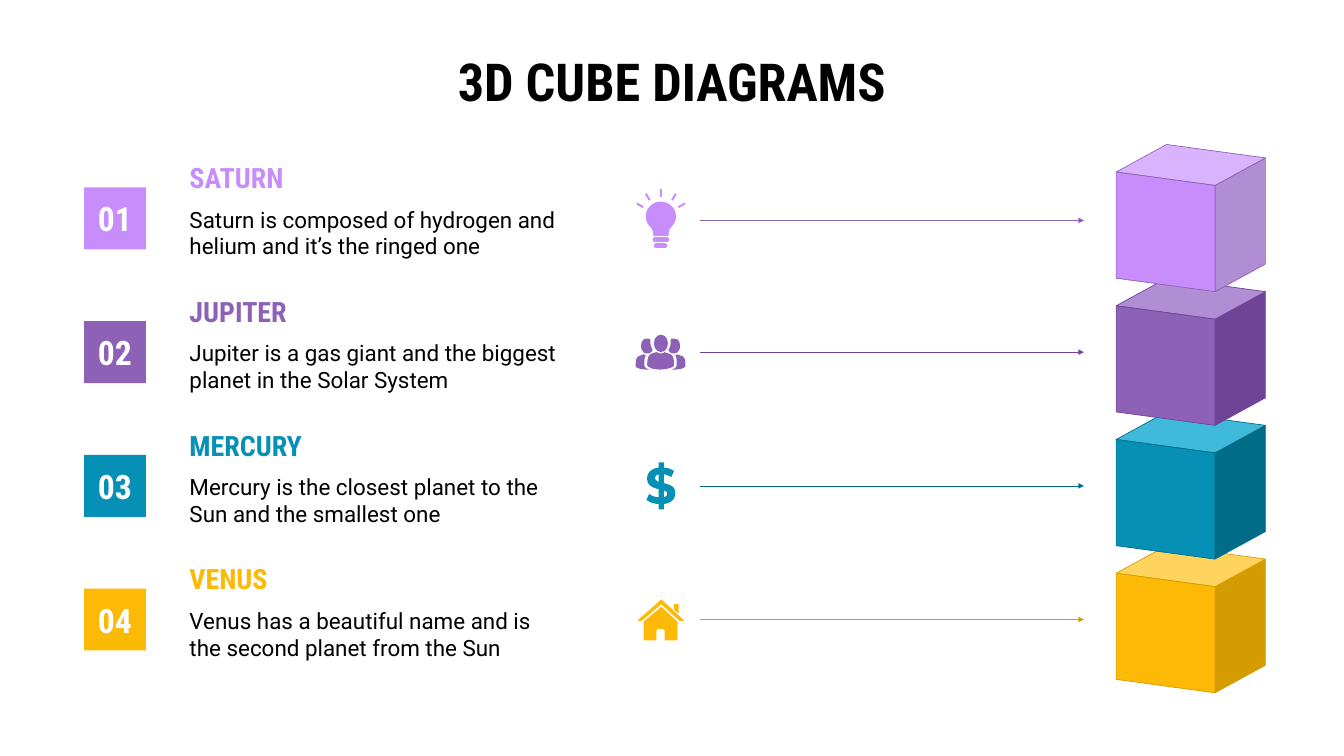
"""Build the 3D cube diagram slide: four planets, each with an icon, an arrow and a cube."""
from lxml import etree
from pptx import Presentation
from pptx.dml.color import RGBColor
from pptx.enum.shapes import MSO_CONNECTOR, MSO_SHAPE
from pptx.enum.text import MSO_ANCHOR, MSO_AUTO_SIZE, PP_ALIGN
from pptx.oxml.ns import qn
from pptx.util import Inches, Pt

RECTANGLE, ROUNDED, OVAL = MSO_SHAPE.RECTANGLE, MSO_SHAPE.ROUNDED_RECTANGLE, MSO_SHAPE.OVAL
STRAIGHT = MSO_CONNECTOR.STRAIGHT
TOP, MIDDLE = MSO_ANCHOR.TOP, MSO_ANCHOR.MIDDLE
LEFT, CENTER = PP_ALIGN.LEFT, PP_ALIGN.CENTER
NO_AUTOFIT = MSO_AUTO_SIZE.NONE

COLORS = {
    "black": "000000", "white": "FFFFFF",
    "lilac": "C68DFB", "pale lilac": "DAB3FF", "soft purple": "B18DD3",
    "purple": "8D61B6", "dark purple": "6F4497",
    "teal": "0690B5", "light teal": "3FBADB", "dark teal": "016C88",
    "yellow": "FCBA06", "light yellow": "FFD45E", "dark yellow": "D59C01",
}
HEADING_FONT, BODY_FONT = "Roboto Condensed", "Roboto"
ROW_PITCH, FIRST_CENTER, ICON_X = 1.99, 3.25, 9.83
CURVE_STEPS = 8

PLANETS = [
    ("SATURN", "Saturn is composed of hydrogen and helium and it’s the ringed one",
     ("lilac", "pale lilac", "soft purple", "purple"), 3.28),
    ("JUPITER", "Jupiter is a gas giant and the biggest planet in the Solar System",
     ("purple", "soft purple", "dark purple", "dark purple"), 5.24),
    ("MERCURY", "Mercury is the closest planet to the Sun and the smallest one",
     ("teal", "light teal", "dark teal", "dark teal"), 7.23),
    ("VENUS", "Venus has a beautiful name and is the second planet from the Sun",
     ("yellow", "light yellow", "dark yellow", "dark yellow"), 9.22),
]

BULB = [(0, -25), (-12, -25, -22, -15, -22, -3), (-22, 3, -19, 10, -14, 14),
        (-11, 17, -11, 25, -11, 25), (-10, 26), (11, 26), (12, 25),
        (12, 25, 12, 17, 15, 14), (20, 9, 23, 3, 23, -3), (23, -15, 13, -25, 0, -25)]
RAYS = [(0, -38, 0), (19.5, -32, 31), (-19.5, -32, -31), (31, -19.5, 60), (-31, -19.5, -60)]
SIDE_HEAD = [(20, -20), (18, -20, 16, -20, 15, -19), (15, -17, 15, -15, 15, -14),
             (15, -10, 14, -7, 12, -4), (12, -3), (13, 0, 16, 2, 20, 2),
             (22, 2, 25, 1, 26, -1), (28, -3, 29, -6, 29, -9),
             (29, -12, 28, -16, 26, -18), (25, -19, 23, -20, 20, -20)]
SIDE_BODY = [(25, 3), (25, 3, 24, 4, 22, 5), (24, 8, 24, 12, 24, 18), (24, 20),
             (24, 21, 23, 24, 17, 26), (20, 26), (35, 26, 37, 21, 37, 21),
             (37, 9, 36, 6, 26, 4), (25, 3)]
MIDDLE_BODY = [(-5, 0), (-18, 2, -19, 6, -20, 18), (-20, 20, -17, 26, 0, 26),
               (18, 25, 20, 20, 20, 20), (20, 7, 19, 3, 8, 1), (6, 0),
               (6, 0, 4, 2, 0, 2), (-4, 2, -5, 0, -5, 0)]
DOLLAR = [
    [(-3, -35), (-3, -27), (-14, -26, -20, -19, -20, -11), (-20, 0, -11, 3, -3, 5), (-3, 17),
     (-8, 17, -13, 15, -17, 12), (-21, 21), (-17, 24, -10, 27, -3, 27), (-3, 35), (5, 35),
     (5, 27), (16, 26, 22, 19, 22, 11), (22, 0, 13, -2, 5, -4), (5, -17),
     (8, -17, 12, -15, 16, -13), (20, -22), (16, -25, 10, -27, 5, -27), (5, -35)],
    [(-3, -17), (-3, -6), (-6, -7, -8, -9, -8, -11), (-8, -14, -7, -16, -3, -17)],
    [(5, 7), (8, 8, 10, 9, 10, 12), (10, 14, 8, 16, 5, 17)],
]
HOUSE = [(1, -19), (-25, 3), (-25, 29), (-25, 29, -25, 31, -23, 31), (-6, 31), (-6, 17),
         (-6, 17, -6, 14, -4, 14), (3, 14), (6, 14, 6, 17, 6, 17), (6, 31), (23, 31),
         (25, 31, 25, 29, 25, 29), (25, 3)]
ROOF = [(1, -30), (-34, 1), (-34, 1, -33, 2, -31, 2), (-30, 2, -29, 2, -27, 1), (1, -23),
        (27, 1), (29, 2, 31, 2, 32, 2), (34, 2, 35, 1, 35, 1)]
CHIMNEY = [(20, -23), (20, -15), (27, -9), (27, -23)]


def color(name):
    return RGBColor.from_string(COLORS[name])


def write(shape, text, size=24, font=BODY_FONT, ink="black", bold=False, align=LEFT, anchor=TOP):
    frame = shape.text_frame
    frame.word_wrap, frame.auto_size, frame.vertical_anchor = True, NO_AUTOFIT, anchor
    frame.margin_left = frame.margin_right = frame.margin_top = frame.margin_bottom = Inches(0.2)
    paragraph = frame.paragraphs[0]
    paragraph.alignment = align
    run = paragraph.add_run()
    run.text = text
    run.font.size, run.font.name, run.font.bold = Pt(size), font, bold
    run.font.color.rgb = color(ink)


def flatten(segments):
    points = [segments[0]]
    for segment in segments[1:]:
        if len(segment) == 2:
            points.append(segment)
            continue
        controls = [points[-1], segment[:2], segment[2:4], segment[4:]]
        for step in range(1, CURVE_STEPS + 1):
            t = step / CURVE_STEPS
            weights = ((1 - t) ** 3, 3 * t * (1 - t) ** 2, 3 * t * t * (1 - t), t ** 3)
            points.append(tuple(sum(w * c[axis] for w, c in zip(weights, controls))
                                for axis in (0, 1)))
    return points


def mirror(segments):
    return [tuple(-v if i % 2 == 0 else v for i, v in enumerate(s)) for s in segments]


class Diagram:
    """Draws the elements of the diagram on one slide."""

    def __init__(self, slide):
        self.slide, self.shapes = slide, slide.shapes

    def title(self, text):
        shape = self.shapes.title
        shape.left, shape.top, shape.width, shape.height = map(Inches, (1, 0.53, 18, 1.25))
        write(shape, text, size=56, font=HEADING_FONT, bold=True, align=CENTER)

    def paint(self, shape, fill, edge=None):
        shape.shadow.inherit = False
        shape.fill.solid()
        shape.fill.fore_color.rgb = color(fill)
        if edge:
            shape.line.color.rgb, shape.line.width = color(edge), Pt(0.75)
        else:
            shape.line.fill.background()

    def preset(self, kind, left, top, width, height, fill):
        shape = self.shapes.add_shape(kind, *map(Inches, (left, top, width, height)))
        self.paint(shape, fill)
        return shape

    def text(self, left, top, height, text, **style):
        write(self.shapes.add_textbox(*map(Inches, (left, top, 5.96, height))), text, **style)

    def outline(self, contours, fill, edge=None):
        contours = [[(Inches(x), Inches(y)) for x, y in points] for points in contours]
        builder = self.shapes.build_freeform(*contours[0][0])
        builder.add_line_segments(contours[0][1:], close=True)
        for points in contours[1:]:
            builder.move_to(*points[0])
            builder.add_line_segments(points[1:], close=True)
        self.paint(builder.convert_to_shape(), fill, edge)

    def arrow(self, y, ink):
        line = self.shapes.add_connector(STRAIGHT, *map(Inches, (10.42, y, 16.13, y)))
        line.line.color.rgb, line.line.width = color(ink), Pt(0.75)
        etree.SubElement(line.line._get_or_add_ln(), qn("a:tailEnd"), type="triangle")
        etree.SubElement(line._element.spPr, qn("a:effectLst"))

    def cube(self, top, face, lid, side, edge):
        left, middle, right, depth = 16.61, 18.08, 18.83, 1.58
        back, far, near, front = (17.36, top), (right, top + 0.2), (left, top + 0.41), (middle, top + 0.61)
        below = {corner: (corner[0], corner[1] + depth) for corner in (far, near, front)}
        self.outline([[far, below[far], below[front], front]], side, edge)
        self.outline([[back, far, front, near]], lid, edge)
        self.outline([[near, front, below[front], below[near]]], face, edge)

    def icon_part(self, y, fill, *contours):
        self.outline([[(ICON_X + a / 100, y + b / 100) for a, b in flatten(c)]
                      for c in contours], fill)

    def icon_preset(self, kind, y, fill, left, top, width, height):
        return self.preset(kind, ICON_X + left / 100, y + top / 100, width / 100, height / 100, fill)

    def bulb(self, y, fill):
        self.icon_part(y, fill, BULB)
        for left, top, width in ((-12, 28, 25), (-10, 37, 20)):
            self.icon_preset(ROUNDED, y, fill, left, top, width, 7).adjustments[0] = 0.5
        for x, center, angle in RAYS:
            ray = self.icon_preset(ROUNDED, y, fill, x - 1, center - 6, 3, 12)
            ray.adjustments[0], ray.rotation = 0.5, angle

    def people(self, y, fill):
        for part in (SIDE_HEAD, SIDE_BODY):
            self.icon_part(y, fill, part)
            self.icon_part(y, fill, mirror(part))
        self.icon_preset(OVAL, y, fill, -10, -26, 21, 26)
        self.icon_part(y, fill, MIDDLE_BODY)

    def dollar(self, y, fill):
        self.icon_part(y, fill, *DOLLAR)

    def house(self, y, fill):
        for part in (HOUSE, ROOF, CHIMNEY):
            self.icon_part(y, fill, part)


def main():
    presentation = Presentation()
    presentation.slide_width, presentation.slide_height = Inches(20), Inches(11.25)
    diagram = Diagram(presentation.slides.add_slide(presentation.slide_layouts[5]))
    diagram.title("3D CUBE DIAGRAMS")
    icons = (diagram.bulb, diagram.people, diagram.dollar, diagram.house)
    for index, (name, fact, shades, arrow_y) in reversed(list(enumerate(PLANETS))):
        center, main_color = FIRST_CENTER + index * ROW_PITCH, shades[0]
        diagram.cube(center - 1.1, *shades)
        icons[index](center, main_color)
        badge = diagram.preset(RECTANGLE, 1.25, center - 0.46, 0.92, 0.92, main_color)
        write(badge, f"{index + 1:02}", size=36, font=HEADING_FONT, ink="white", bold=True,
              align=CENTER, anchor=MIDDLE)
        diagram.text(2.62, center - 0.39, 1.25, fact)
        diagram.text(2.62, center - 0.87, 0.52, name, size=30, font=HEADING_FONT,
                     ink=main_color, bold=True, anchor=MIDDLE)
        diagram.arrow(arrow_y, shades[3])
    presentation.save("out.pptx")


if __name__ == "__main__":
    main()
